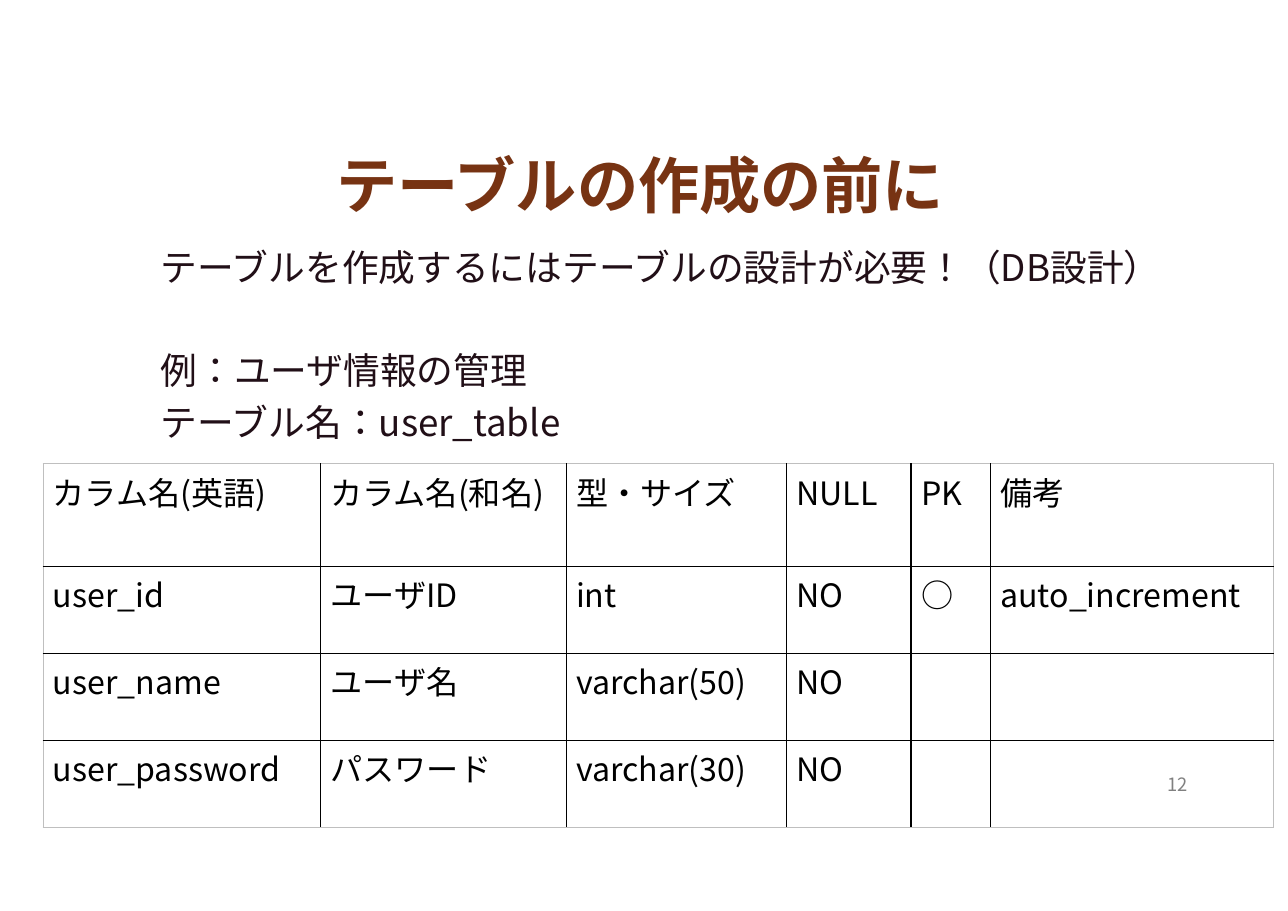
import pptx
import pptx.dml.color
import pptx.enum.lang
import pptx.enum.text
import pptx.oxml
import pptx.oxml.ns
import pptx.util
from lxml import etree

Inches, Pt = pptx.util.Inches, pptx.util.Pt
ALIGN, ANCHOR = pptx.enum.text.PP_ALIGN, pptx.enum.text.MSO_ANCHOR
FONT = "Noto Sans CJK JP"

LINES = ["テーブルを作成するにはテーブルの設計が必要！（DB設計）",
         "例：ユーザ情報の管理",
         "テーブル名：user_table"]
COLUMN_WIDTHS = [2.52, 2.23, 2, 1.13, 0.72, 2.57]
ROW_HEIGHTS = [0.93, 0.79, 0.79, 0.79]
COLUMN_DEFINITIONS = [
    ["カラム名(英語)", "カラム名(和名)", "型・サイズ", "NULL", "PK", "備考"],
    ["user_id", "ユーザID", "int", "NO", "○", "auto_increment"],
    ["user_name", "ユーザ名", "varchar(50)", "NO", "", ""],
    ["user_password", "パスワード", "varchar(30)", "NO", "", ""],
]
INNER_BORDER, OUTER_BORDER = ("000000", 1), ("BFBFBF", 0.5)


def color(hex_code):
    return pptx.dml.color.RGBColor.from_string(hex_code)


def style(para, size, hex_code, bold=False):
    """Format every run of a paragraph, for Latin and Japanese text alike."""
    for span in para.runs:
        span.font.size = Pt(size)
        span.font.bold = bold
        span.font.name = FONT
        span.font.language_id = pptx.enum.lang.MSO_LANGUAGE_ID.JAPANESE
        span.font.color.rgb = color(hex_code)
        east_asian = etree.SubElement(span.font._element, pptx.oxml.ns.qn("a:ea"))
        east_asian.set("typeface", FONT)


def add_text(page, box, text, margins, anchor=ANCHOR.TOP, wrap=True):
    frame = page.shapes.add_textbox(*map(Inches, box)).text_frame
    frame.word_wrap = wrap
    frame.vertical_anchor = anchor
    frame.margin_left = frame.margin_right = Inches(margins[0])
    frame.margin_top = frame.margin_bottom = Inches(margins[1])
    frame.text = text
    return frame.paragraphs


def add_title(page, box):
    para = add_text(page, box, "テーブルの作成の前に", (0, 0), ANCHOR.BOTTOM)[0]
    para.alignment = ALIGN.CENTER
    style(para, 40, "773313", bold=True)


def add_introduction(page, box):
    paras = add_text(page, box, "\n".join(LINES), (0.1, 0.05))
    for para in paras:
        para.space_before = Pt(5)
        style(para, 24, "210F17")
    paras[1].space_before = Pt(39)


def add_borders(cell, on_edge):
    """Draw left, right, top and bottom borders, paler on the table's edge."""
    properties = cell._tc.get_or_add_tcPr()
    for position, side in enumerate(["lnL", "lnR", "lnT", "lnB"]):
        hex_code, width = OUTER_BORDER if on_edge[position] else INNER_BORDER
        line = pptx.oxml.parse_xml(
            f'<a:{side} {pptx.oxml.ns.nsdecls("a")} w="{Pt(width)}">'
            f'<a:solidFill><a:srgbClr val="{hex_code}"/></a:solidFill></a:{side}>')
        properties.insert(position, line)


def add_definition_table(page, left, top):
    rows, columns = len(ROW_HEIGHTS), len(COLUMN_WIDTHS)
    box = (left, top, sum(COLUMN_WIDTHS), sum(ROW_HEIGHTS))
    table = page.shapes.add_table(rows, columns, *map(Inches, box)).table
    table.first_row = table.horz_banding = False
    for column, width in zip(table.columns, COLUMN_WIDTHS):
        column.width = Inches(width)
    for r, texts in enumerate(COLUMN_DEFINITIONS):
        table.rows[r].height = Inches(ROW_HEIGHTS[r])
        for c, text in enumerate(texts):
            cell = table.cell(r, c)
            cell.margin_left = cell.margin_right = Inches(0.09)
            cell.margin_top = cell.margin_bottom = Inches(0.04)
            cell.fill.background()
            add_borders(cell, (c == 0, c == columns - 1, r == 0, r == rows - 1))
            if text:
                cell.text = text
                style(cell.text_frame.paragraphs[0], 21, "000000")


def add_page_number(page, box):
    para = add_text(page, box, "12", (0.11, 0.06), ANCHOR.MIDDLE, wrap=False)[0]
    para.alignment = ALIGN.RIGHT
    style(para, 12, "808080")


def main():
    deck = pptx.Presentation()
    deck.slide_width, deck.slide_height = Inches(11.69), Inches(8.27)
    page = deck.slides.add_slide(deck.slide_layouts[6])
    add_title(page, (0.89, 1.51, 9.84, 0.49))
    add_introduction(page, (1.36, 2.17, 9.66, 5.2))
    add_definition_table(page, 0.39, 4.21)
    add_page_number(page, (8.26, 6.94, 2.63, 0.35))
    deck.save("out.pptx")


if __name__ == "__main__":
    main()
